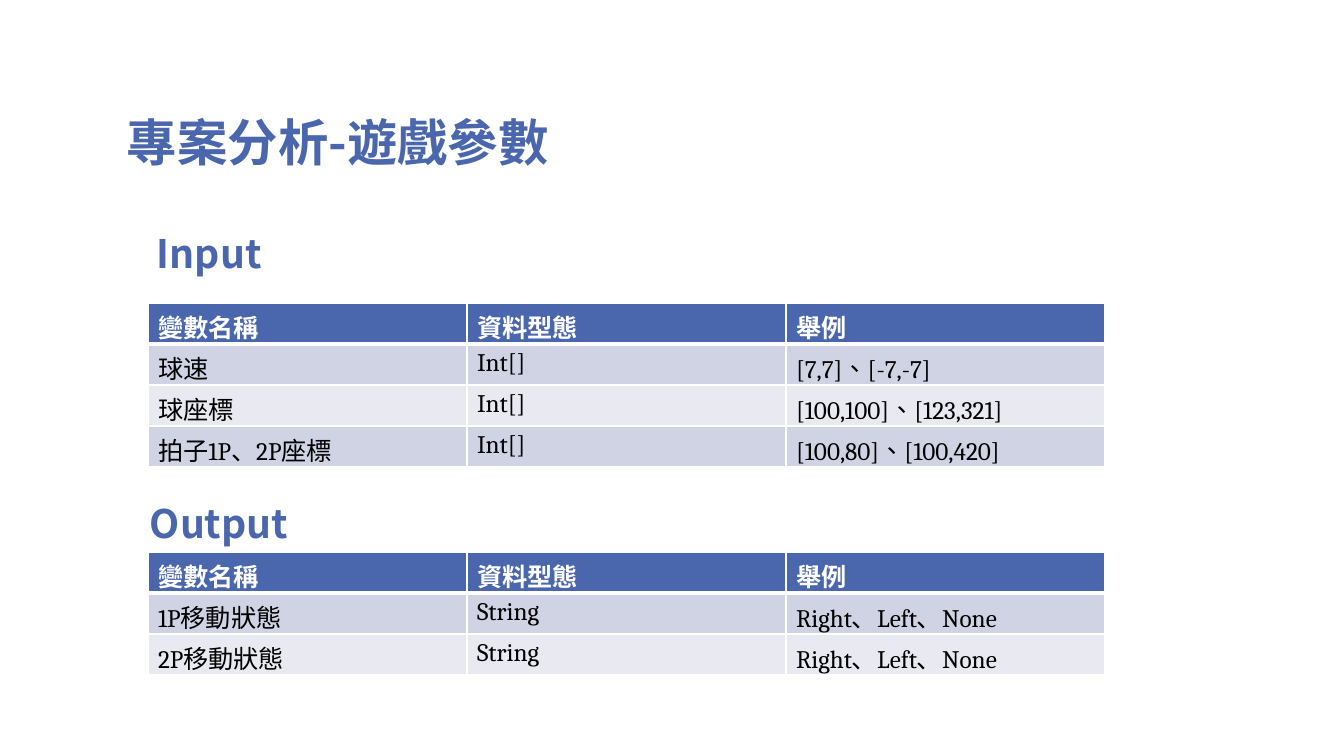
from dataclasses import dataclass

from pptx import Presentation
from pptx.dml.color import RGBColor
from pptx.enum.text import MSO_ANCHOR
from pptx.oxml.ns import qn
from pptx.util import Pt
from lxml.etree import SubElement

EMU_PER_PX = 914400 / 100.8


@dataclass(frozen=True)
class Theme:
    accent: str = "4A66AC"
    white: str = "FFFFFF"
    black: str = "000000"
    bands: tuple = ("D0D3E3", "E9EAF1")
    heading_font: str = "Noto Sans CJK TC"
    body_font: str = "Cambria"
    title_size: int = 36
    heading_size: int = 28
    body_size: int = 18


def px(length):
    return round(length * EMU_PER_PX)


def write(text_frame, text, *, size, color, font, east_asian, bold=False, line_spacing=None):
    paragraph = text_frame.paragraphs[0]
    paragraph.line_spacing = line_spacing
    run = paragraph.add_run()
    run.text = text
    run.font.size = Pt(size)
    run.font.bold = bold
    run.font.name = font
    run.font.color.rgb = RGBColor.from_string(color)
    SubElement(run.font._element, qn("a:ea"), typeface=east_asian)


def set_borders(cell, color, **widths):
    """Draw cell borders; widths are points keyed by side, in the order L, R, T, B."""
    properties = cell._tc.get_or_add_tcPr()
    for side, width in widths.items():
        line = SubElement(properties, qn(f"a:ln{side}"), w=str(Pt(width)))
        fill = SubElement(line, qn("a:solidFill"))
        SubElement(fill, qn("a:srgbClr"), val=color)


class SlideBuilder:
    def __init__(self, slide, theme):
        self.slide = slide
        self.theme = theme

    def heading(self, text, left, top, width, height, size):
        text_box = self.slide.shapes.add_textbox(px(left), px(top), px(width), px(height))
        text_frame = text_box.text_frame
        text_frame.word_wrap = True
        text_frame.vertical_anchor = MSO_ANCHOR.BOTTOM
        write(text_frame, text, size=size, color=self.theme.accent, bold=True, line_spacing=0.8,
              font=self.theme.heading_font, east_asian=self.theme.heading_font)

    def table(self, rows, left, top, column_width, row_height):
        theme = self.theme
        columns = len(rows[0])
        table = self.slide.shapes.add_table(
            len(rows), columns, px(left), px(top),
            px(column_width * columns), px(row_height * len(rows))).table
        for column in table.columns:
            column.width = px(column_width)
        for row_index, values in enumerate(rows):
            table.rows[row_index].height = px(row_height)
            is_header = row_index == 0
            fill = theme.accent if is_header else theme.bands[(row_index - 1) % 2]
            for column_index, value in enumerate(values):
                cell = table.cell(row_index, column_index)
                set_borders(cell, theme.white, L=1, R=1,
                            T=3 if row_index == 1 else 1, B=3 if is_header else 1)
                cell.fill.solid()
                cell.fill.fore_color.rgb = RGBColor.from_string(fill)
                write(cell.text_frame, value, size=theme.body_size, bold=is_header,
                      color=theme.white if is_header else theme.black,
                      font=theme.body_font, east_asian=theme.heading_font)


def main():
    presentation = Presentation()
    presentation.slide_width = px(1344)
    presentation.slide_height = px(756)
    theme = Theme()
    builder = SlideBuilder(presentation.slides.add_slide(presentation.slide_layouts[6]), theme)

    header = ("變數名稱", "資料型態", "舉例")
    inputs = [
        header,
        ("球速", "Int[]", "[7,7]、[-7,-7]"),
        ("球座標", "Int[]", "[100,100]、[123,321]"),
        ("拍子1P、2P座標", "Int[]", "[100,80]、[100,420]"),
    ]
    outputs = [header] + [(f"{player}移動狀態", "String", "Right、Left、None")
                          for player in ("1P", "2P")]

    builder.heading("專案分析-遊戲參數", 117, 58, 958, 118, theme.title_size)
    sections = (
        ("Input", 147, 211, inputs, 303),
        ("Output", 140, 481, outputs, 552),
    )
    for name, left, top, rows, table_top in sections:
        builder.heading(name, left, top, 191, 70, theme.heading_size)
        builder.table(rows, left=148, top=table_top, column_width=319, row_height=41)

    presentation.save("out.pptx")


if __name__ == "__main__":
    main()
